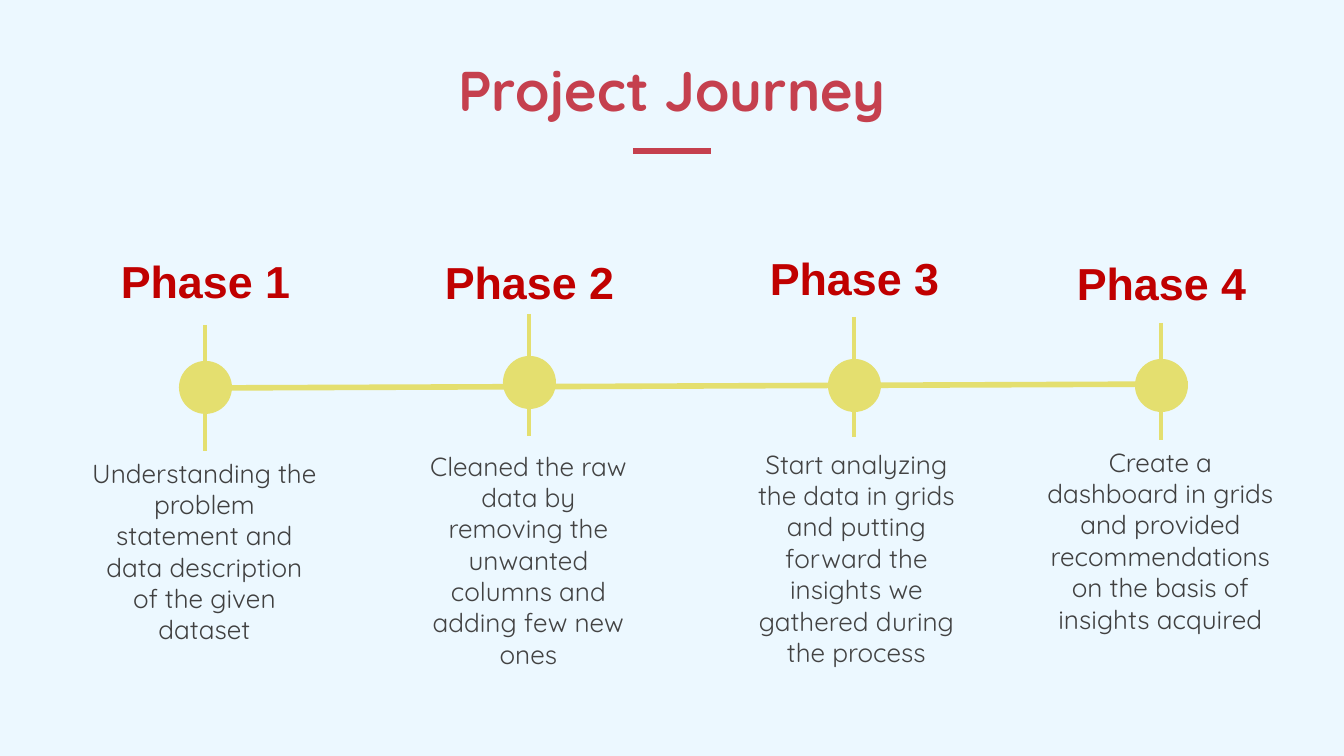
from collections import namedtuple

from lxml.etree import SubElement
from pptx import Presentation
from pptx.dml.color import RGBColor
from pptx.enum.shapes import MSO_CONNECTOR as Connector, MSO_SHAPE as Shape
from pptx.enum.text import MSO_ANCHOR as Anchor, PP_ALIGN as Align
from pptx.oxml.ns import qn
from pptx.util import Pt

PX = 914400 / 134.4

SKY = RGBColor(0xEC, 0xF8, 0xFF)
ROSE = RGBColor(0xC5, 0x40, 0x4E)
RED = RGBColor(0xC0, 0x00, 0x00)
YELLOW = RGBColor(0xE4, 0xDF, 0x6F)
GREY = RGBColor(0x43, 0x43, 0x43)
DARK = RGBColor(0x40, 0x40, 0x40)

TITLE_FONT = {"name": "Quicksand", "size": Pt(30), "bold": True}
LABEL_FONT = {"name": "Arial", "size": Pt(24), "bold": True}
BODY_FONT = {"name": "Quicksand", "size": Pt(14), "bold": False}

LABEL_WIDTH, LABEL_HEIGHT = 235, 83
DOT = 53

Box = namedtuple("Box", "left top width height")
Phase = namedtuple("Phase", "center label_top stem_top stem_end dot_top body pad ink text")

PHASES = [
    Phase(205, 237, 325, 451, 361, Box(79, 450, 251, 203), 7, DARK,
          "Understanding the problem statement and data description of the given dataset"),
    Phase(529, 238, 314, 436, 356, Box(411, 437, 235, 254), 13, GREY,
          "Cleaned the raw data by removing the unwanted columns and adding few new ones"),
    Phase(854, 234, 317, 437, 359, Box(739, 435, 235, 235), 13, GREY,
          "Start analyzing the data in grids and putting forward the insights "
          "we gathered during the process"),
    Phase(1161, 239, 323, 440, 359, Box(1028, 439, 265, 235), 7, DARK,
          "Create a dashboard in grids and provided recommendations "
          "on the basis of insights acquired"),
]


def emu(*lengths):
    return [round(length * PX) for length in lengths]


def add_text(page, box, text, font, color, anchor, pad=13):
    frame = page.shapes.add_textbox(*emu(*box)).text_frame
    side, edge = emu(13, pad)
    layout = {"word_wrap": True, "vertical_anchor": anchor,
              "margin_left": side, "margin_right": side,
              "margin_top": edge, "margin_bottom": edge}
    for name, value in layout.items():
        setattr(frame, name, value)
    para = frame.paragraphs[0]
    para.alignment = Align.CENTER
    span = para.add_run()
    span.text = text
    for name, value in font.items():
        setattr(span.font, name, value)
    span.font.color.rgb = color


def add_line(page, start, end, color, points):
    line = page.shapes.add_connector(Connector.STRAIGHT, *emu(*start, *end))
    line.line.color.rgb = color
    line.line.width = Pt(points)
    SubElement(line._element.spPr, qn("a:effectLst"))


def add_header(page, box):
    add_text(page, box, "Project Journey", TITLE_FONT, ROSE, Anchor.BOTTOM)
    center = box.left + box.width // 2
    rule = box.top + box.height + 15
    add_line(page, (center - 39, rule), (center + 39, rule), ROSE, 3)


def add_phase(page, number, phase):
    label = Box(phase.center - LABEL_WIDTH // 2, phase.label_top, LABEL_WIDTH, LABEL_HEIGHT)
    add_text(page, label, f"Phase {number}", LABEL_FONT, RED, Anchor.BOTTOM)
    add_line(page, (phase.center, phase.stem_top), (phase.center, phase.stem_end), YELLOW, 2.25)
    dot = page.shapes.add_shape(Shape.OVAL, *emu(phase.center - DOT // 2, phase.dot_top, DOT, DOT))
    dot.shadow.inherit = False
    dot.fill.solid()
    dot.fill.fore_color.rgb = YELLOW
    dot.line.fill.background()
    add_text(page, phase.body, phase.text, BODY_FONT, phase.ink, Anchor.TOP, phase.pad)


def add_timeline(page, box):
    add_line(page, (box.left, box.top + box.height), (box.left + box.width, box.top), YELLOW, 3)
    for number, phase in enumerate(PHASES, 1):
        add_phase(page, number, phase)


def main():
    deck = Presentation()
    deck.slide_width, deck.slide_height = emu(1344, 756)
    page = deck.slides.add_slide(deck.slide_layouts[6])
    page.background.fill.solid()
    page.background.fill.fore_color.rgb = SKY
    add_header(page, Box(117, 24, 1110, 112))
    add_timeline(page, Box(211, 384, 977, 4))
    deck.save("out.pptx")


if __name__ == "__main__":
    main()
